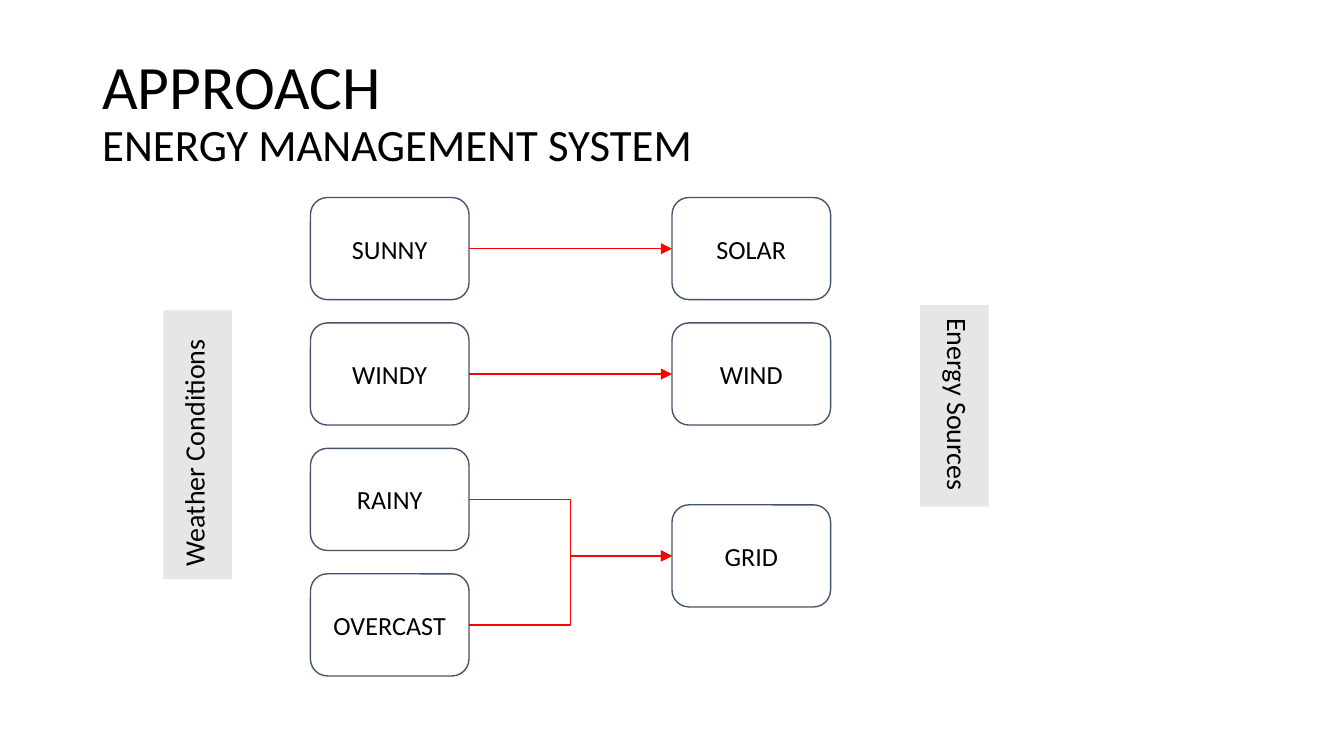
import pptx
import pptx.util
import pptx.dml.color
import pptx.enum.shapes
import pptx.enum.text
import pptx.oxml.ns
from lxml import etree

Inch = pptx.util.Inches
Kind = pptx.enum.shapes.MSO_SHAPE
Link = pptx.enum.shapes.MSO_CONNECTOR
Align = pptx.enum.text.PP_ALIGN
Anchor = pptx.enum.text.MSO_ANCHOR

# Content
TITLE = [("APPROACH", 33), ("ENERGY MANAGEMENT SYSTEM", 24)]
# name: (column, row)
NODES = {
    "SUNNY": (0, 0), "WINDY": (0, 1), "RAINY": (0, 2), "OVERCAST": (0, 3),
    "SOLAR": (1, 0), "WIND": (1, 1), "GRID": (1, 2.45),
}
LINKS = [("SUNNY", "SOLAR"), ("WINDY", "WIND"),
         ("RAINY", "GRID"), ("OVERCAST", "GRID")]
# text, centre x, centre y, length, turn
LABELS = [("Weather Conditions", 1.47, 3.31, 2, 270),
          ("Energy Sources", 7.1, 3.02, 1.5, 90)]

# Format
COLORS = {"text": "000000", "node": "FFFFFF", "edge": "44546A",
          "link": "FF0000", "label": "E7E6E6"}
FONT = "Calibri"
WIDE = 10
HIGH = WIDE * 9 / 16
LEFT, TOP = 2.31, 1.47
COL, ROW = 2.69, 2.8 / 3
NODE_W, NODE_H = 1.18, 0.76
BAR = 0.51
LINE = 0.75


def rgb(name):
    return pptx.dml.color.RGBColor.from_string(COLORS[name])


def write(shape, lines, pad, para, **frame):
    """Fill a shape with (text, size) lines; pad is (side, top) in inches."""
    side, top = map(Inch, pad)
    form = {"word_wrap": True, "margin_left": side, "margin_right": side,
            "margin_top": top, "margin_bottom": top, **frame}
    box = shape.text_frame
    for key, val in form.items():
        setattr(box, key, val)
    for i, (text, size) in enumerate(lines):
        par = box.paragraphs[0] if i == 0 else box.add_paragraph()
        for key, val in para.items():
            setattr(par, key, val)
        run = par.add_run()
        run.text = text
        look = {"name": FONT, "size": pptx.util.Pt(size)}
        for key, val in look.items():
            setattr(run.font, key, val)
        run.font.color.rgb = rgb("text")


def block(slide, kind, area, fill, edge=None):
    shape = slide.shapes.add_shape(kind, *map(Inch, area))
    shape.shadow.inherit = False
    shape.fill.solid()
    shape.fill.fore_color.rgb = rgb(fill)
    if edge:
        shape.line.color.rgb = rgb(edge)
        shape.line.width = pptx.util.Pt(LINE)
    else:
        shape.line.fill.background()
    return shape


def join(slide, start, end):
    """Run a red arrow from the right of start to the left of end."""
    mid = [s.top + s.height // 2 for s in (start, end)]
    kind = Link.STRAIGHT if mid[0] == mid[1] else Link.ELBOW
    arrow = slide.shapes.add_connector(
        kind, start.left + start.width, mid[0], end.left, mid[1])
    arrow.begin_connect(start, 3)
    arrow.end_connect(end, 1)
    arrow.line.color.rgb = rgb("link")
    arrow.line.width = pptx.util.Pt(LINE)
    qn = pptx.oxml.ns.qn
    etree.SubElement(arrow.line._get_or_add_ln(), qn("a:tailEnd"),
                     type="triangle")
    etree.SubElement(arrow._element.spPr, qn("a:effectLst"))


def main():
    deck = pptx.Presentation()
    deck.slide_width, deck.slide_height = Inch(WIDE), Inch(HIGH)
    slide = deck.slides.add_slide(deck.slide_layouts[6])

    title = slide.shapes.add_textbox(*map(Inch, (0.69, 0.3, 8.62, 1.09)))
    write(title, TITLE, (0.07, 0.04), {"line_spacing": 0.9},
          vertical_anchor=Anchor.MIDDLE)

    nodes = {}
    for name, (col, row) in NODES.items():
        area = (LEFT + col * COL, TOP + row * ROW, NODE_W, NODE_H)
        nodes[name] = block(slide, Kind.ROUNDED_RECTANGLE, area,
                            "node", "edge")
        write(nodes[name], [(name, 14)], (0.1, 0.1),
              {"alignment": Align.CENTER}, vertical_anchor=Anchor.MIDDLE)

    for start, end in LINKS:
        join(slide, nodes[start], nodes[end])

    for text, x, y, size, turn in LABELS:
        area = (x - size / 2, y - BAR / 2, size, BAR)
        label = block(slide, Kind.RECTANGLE, area, "label")
        label.rotation = turn
        write(label, [(text, 15)], (0.1, 0.1),
              {"alignment": Align.LEFT}, vertical_anchor=Anchor.TOP)

    deck.save("out.pptx")


if __name__ == "__main__":
    main()
